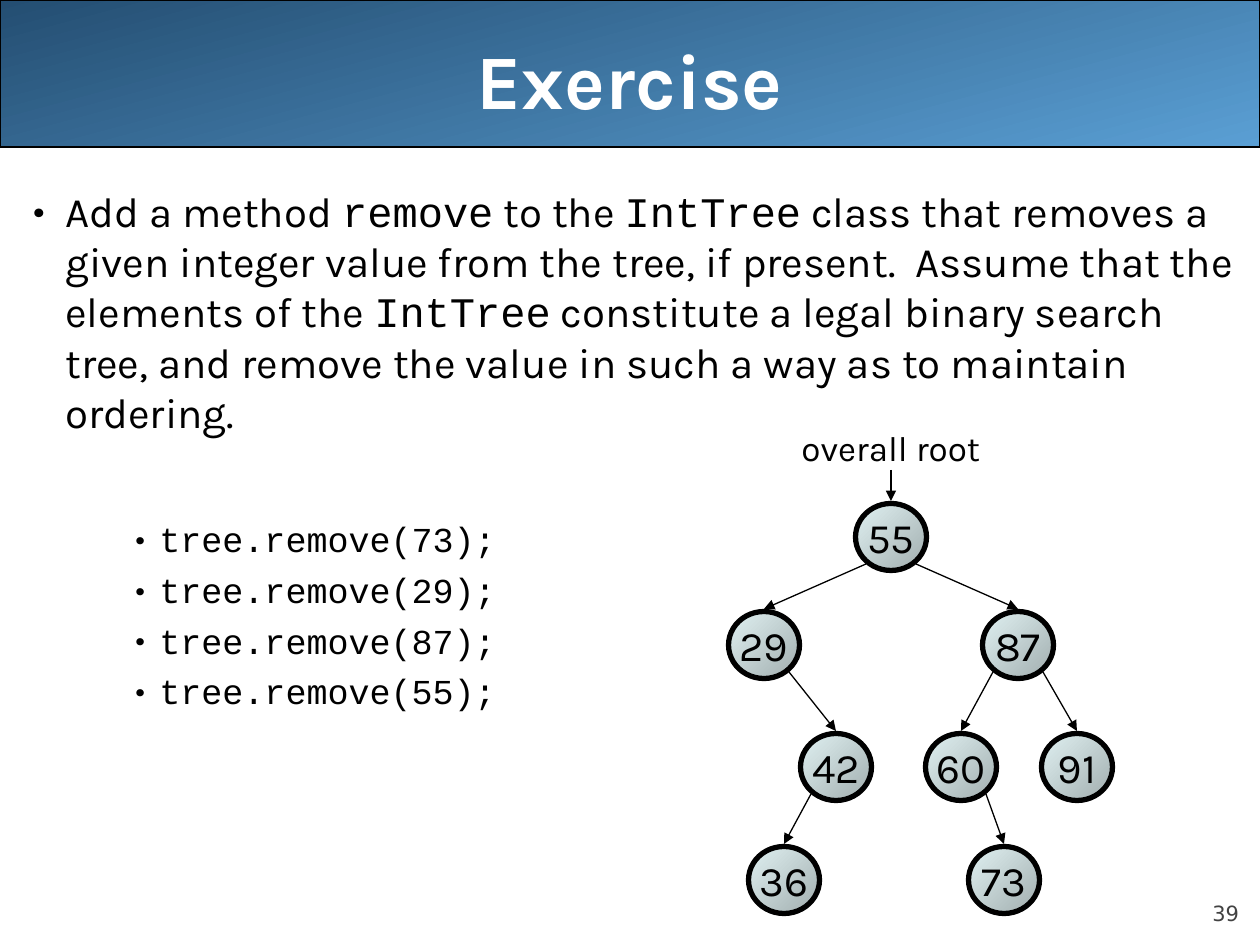
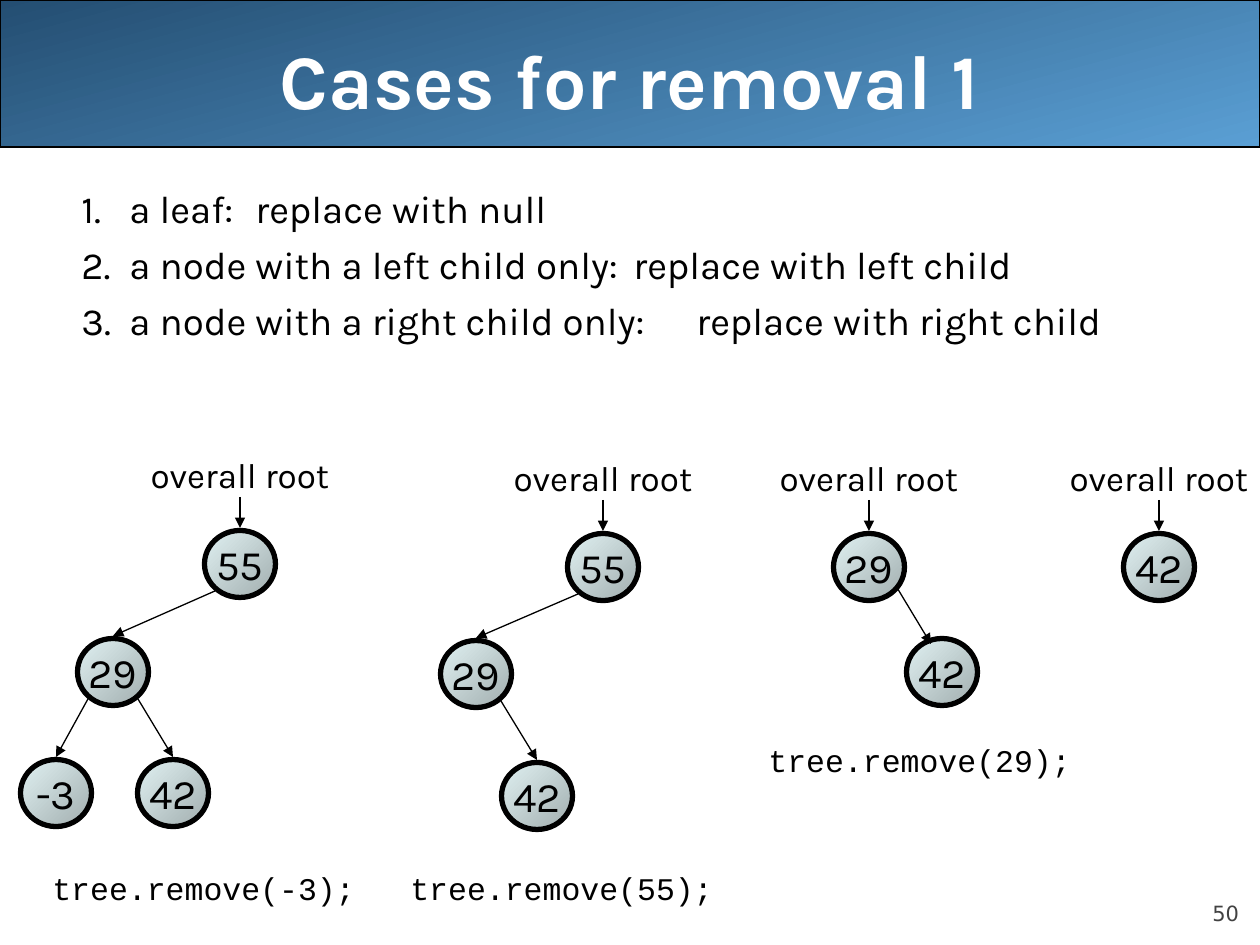
"""Builds two slides on removing values from a binary search tree."""
from lxml.etree import SubElement
from pptx import Presentation
from pptx.dml.color import RGBColor
from pptx.enum.shapes import MSO_CONNECTOR, MSO_SHAPE
from pptx.enum.text import MSO_ANCHOR, PP_ALIGN
from pptx.oxml.ns import qn
from pptx.util import Pt

PX = 914400 / 126
BLACK = RGBColor(0x00, 0x00, 0x00)
WHITE = RGBColor(0xFF, 0xFF, 0xFF)
GRAY = RGBColor(0x42, 0x42, 0x42)
BAND_COLORS = RGBColor(0x24, 0x4E, 0x72), RGBColor(0x5A, 0x9F, 0xD4)
NODE_COLORS = RGBColor(0xA1, 0xAD, 0xAE), RGBColor(0xE1, 0xF2, 0xF3)
TEXT_FONT, CODE_FONT, NUMBER_FONT = "Karla", "Courier New", "DejaVu Sans"

BODY_BOX = (21, 179, 1239, 714)
NODE_WIDTH, NODE_HEIGHT = 71, 67
EDGE_START = (25, 27)
EDGE_END = (0, -36)
LABEL_RISE, LABEL_WIDTH, LABEL_HEIGHT = 117, 214, 55
ROOT_ARROW_RISE = 67

TASK = [
    ("Add a method ", TEXT_FONT),
    ("remove", CODE_FONT),
    (" to the ", TEXT_FONT),
    ("IntTree", CODE_FONT),
    (" class that removes a given integer value from the tree, if present.  "
     "Assume that the elements of the ", TEXT_FONT),
    ("IntTree", CODE_FONT),
    (" constitute a legal binary search tree, and remove the value in such "
     "a way as to maintain ordering.", TEXT_FONT),
]
CALLS = ["tree.remove(73);", "tree.remove(29);", "tree.remove(87);", "tree.remove(55);"]
CASES = [
    "1.\ta leaf:\treplace with null",
    "2.\ta node with a left child only:\treplace with left child",
    "3.\ta node with a right child only:\treplace with right child",
]

# Each tree maps a value to its centre and its parent; the root comes first.
EXERCISE_TREE = {
    "55": (891, 537, None),
    "29": (764, 645, "55"),
    "87": (1018, 645, "55"),
    "42": (836, 767, "29"),
    "60": (961, 767, "87"),
    "91": (1077, 767, "87"),
    "36": (784, 880, "42"),
    "73": (1004, 880, "60"),
}
REMOVAL_TREES = [
    {"55": (240, 564, None), "29": (113, 672, "55"),
     "-3": (56, 793, "29"), "42": (173, 793, "29")},
    {"55": (603, 567, None), "29": (476, 674, "55"), "42": (537, 796, "29")},
    {"29": (869, 567, None), "42": (942, 672, "29")},
    {"42": (1159, 567, None)},
]
SHORT_EDGE = {"start": (27, 19), "end": (-11, -28)}
REMOVAL_CALLS = [
    ("tree.remove(-3);", 40, 863),
    ("tree.remove(55);", 398, 863),
    ("tree.remove(29);", 756, 735),
]


def emu(*lengths):
    return [round(length * PX) for length in lengths]


def add_span(para, text, size, font=TEXT_FONT, color=BLACK, bold=False):
    span = para.add_run()
    span.text = text
    span.font.size = Pt(size)
    span.font.name = font
    span.font.color.rgb = color
    span.font.bold = bold


def add_box(page, bounds, anchor=MSO_ANCHOR.TOP, wrap=True):
    frame = page.shapes.add_textbox(*emu(*bounds)).text_frame
    frame.word_wrap = wrap
    frame.vertical_anchor = anchor
    return frame


def add_line_of_text(frame, text, size, align=PP_ALIGN.LEFT, **style):
    para = frame.paragraphs[0]
    para.alignment = align
    add_span(para, text, size, **style)


def next_para(frame, first, space, indent, hanging):
    para = frame.paragraphs[0] if first else frame.add_paragraph()
    para.space_before = Pt(space)
    properties = para._p.get_or_add_pPr()
    left, shift = emu(indent, -hanging)
    properties.set("marL", str(left))
    properties.set("indent", str(shift))
    return para, properties


def add_bullet(properties):
    SubElement(properties, qn("a:buFont")).set("typeface", TEXT_FONT)
    SubElement(properties, qn("a:buChar")).set("char", "•")


def add_tabs(properties, count):
    tabs = SubElement(properties, qn("a:tabLst"))
    for inch in range(count):
        tab = SubElement(tabs, qn("a:tab"))
        tab.set("pos", str(inch * 914400))
        tab.set("algn", "l")


def add_gradient_shape(page, kind, bounds, colors, angle, line_width):
    shape = page.shapes.add_shape(kind, *emu(*bounds))
    shape.shadow.inherit = False
    shape.fill.gradient()
    shape.fill.gradient_angle = angle
    for stop, color in zip(shape.fill.gradient_stops, colors):
        stop.color.rgb = color
    shape.line.color.rgb = BLACK
    shape.line.width = Pt(line_width)
    return shape


def add_arrow(page, start, end):
    arrow = page.shapes.add_connector(MSO_CONNECTOR.STRAIGHT, *emu(*start, *end))
    arrow.line.color.rgb = BLACK
    arrow.line.width = Pt(0.75)
    SubElement(arrow.line._get_or_add_ln(), qn("a:tailEnd")).set("type", "triangle")
    SubElement(arrow._element.spPr, qn("a:effectLst"))


def add_node(page, value, x, y):
    bounds = (x - NODE_WIDTH / 2, y - NODE_HEIGHT / 2, NODE_WIDTH, NODE_HEIGHT)
    node = add_gradient_shape(page, MSO_SHAPE.OVAL, bounds, NODE_COLORS, 135, 3)
    node.text_frame.word_wrap = False
    node.text_frame.vertical_anchor = MSO_ANCHOR.MIDDLE
    add_line_of_text(node.text_frame, value, 24, PP_ALIGN.CENTER)


def add_tree(page, tree, start=EDGE_START, end=EDGE_END):
    for value, (x, y, _) in tree.items():
        add_node(page, value, x, y)
    for x, y, parent in tree.values():
        if parent:
            parent_x, parent_y, _ = tree[parent]
            side = 1 if x > parent_x else -1
            add_arrow(page, (parent_x + side * start[0], parent_y + start[1]),
                      (x + side * end[0], y + end[1]))
    root_x, root_y, _ = next(iter(tree.values()))
    label = add_box(page, (root_x - LABEL_WIDTH / 2, root_y - LABEL_RISE,
                           LABEL_WIDTH, LABEL_HEIGHT), wrap=False)
    add_line_of_text(label, "overall root", 20, PP_ALIGN.CENTER)
    add_arrow(page, (root_x, root_y - ROOT_ARROW_RISE), (root_x, root_y + EDGE_END[1]))


def add_page(deck, title, number):
    page = deck.slides.add_slide(deck.slide_layouts[6])
    band = add_gradient_shape(page, MSO_SHAPE.ROUNDED_RECTANGLE, (0, 0, 1260, 147),
                              BAND_COLORS, 285, 0.75)
    band.adjustments[0] = 0
    footer = add_box(page, (1134, 876, 105, 50), MSO_ANCHOR.BOTTOM)
    footer.margin_left = footer.margin_right = footer.margin_top = footer.margin_bottom = 0
    add_line_of_text(footer, number, 12, PP_ALIGN.RIGHT, font=NUMBER_FONT, color=GRAY)
    heading = add_box(page, (63, 0, 1134, 158), MSO_ANCHOR.MIDDLE)
    add_line_of_text(heading, title, 44, PP_ALIGN.CENTER, color=WHITE, bold=True)
    return page


def add_exercise(deck):
    page = add_page(deck, "Exercise", "39")
    body = add_box(page, BODY_BOX)
    para, properties = next_para(body, True, 6, 32, 32)
    add_bullet(properties)
    for text, font in TASK:
        add_span(para, text, 24, font)
    for index, call in enumerate(CALLS):
        para, properties = next_para(body, False, 5 if index else 46, 126, 24)
        add_bullet(properties)
        add_span(para, call, 20, CODE_FONT)
    add_tree(page, EXERCISE_TREE)


def add_removal_cases(deck):
    page = add_page(deck, "Cases for removal 1", "50")
    body = add_box(page, BODY_BOX)
    for index, case in enumerate(CASES):
        para, properties = next_para(body, index == 0, 5.5, 96, 48)
        add_tabs(properties, 6)
        add_span(para, case, 22)
    for tree in REMOVAL_TREES:
        edge = SHORT_EDGE if len(tree) == 2 else {}
        add_tree(page, tree, **edge)
    for call, left, top in REMOVAL_CALLS:
        caption = add_box(page, (left, top, 328, 50), wrap=False)
        add_line_of_text(caption, call, 18, font=CODE_FONT)


def main():
    deck = Presentation()
    deck.slide_width, deck.slide_height = emu(1260, 945)
    add_exercise(deck)
    add_removal_cases(deck)
    deck.save("out.pptx")


if __name__ == "__main__":
    main()
